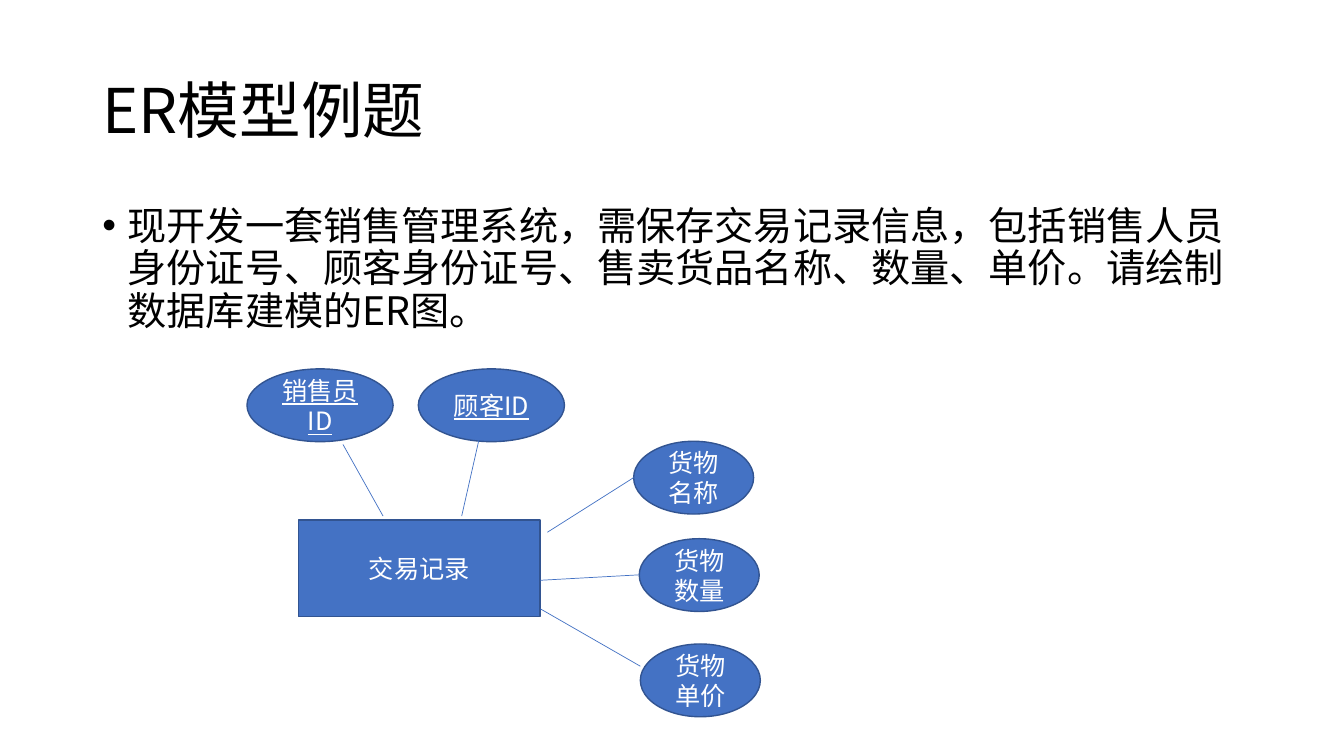
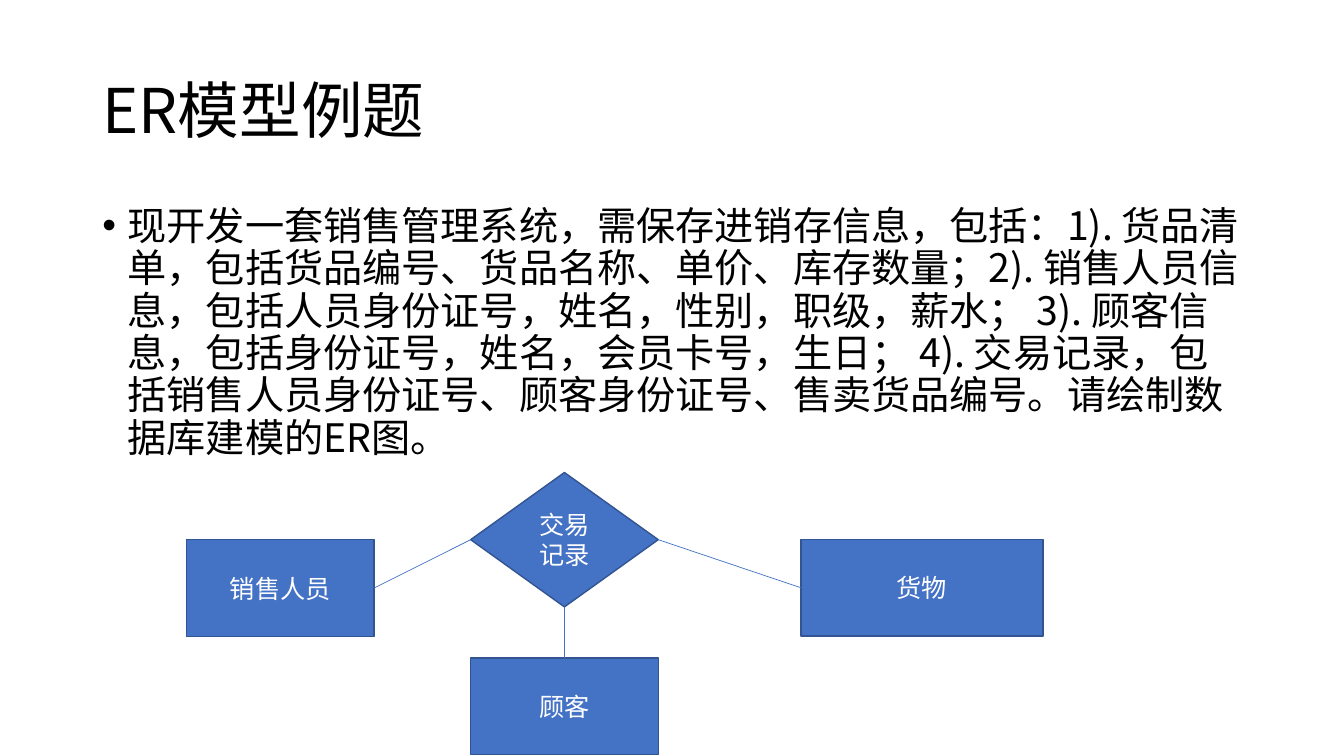
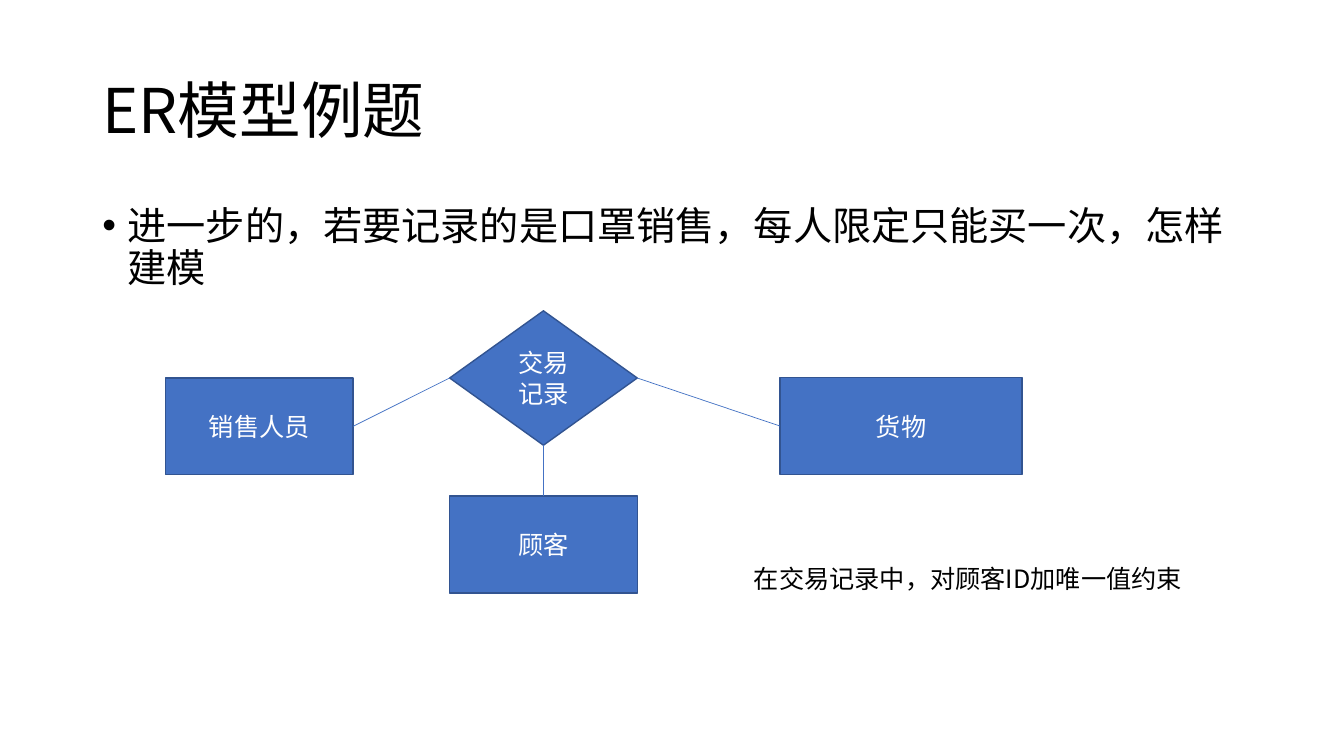
from lxml.etree import SubElement
from pptx import Presentation
from pptx.dml.color import RGBColor
from pptx.enum.shapes import MSO_CONNECTOR, MSO_SHAPE
from pptx.enum.text import MSO_ANCHOR, MSO_AUTO_SIZE, PP_ALIGN
from pptx.oxml.ns import qn
from pptx.util import Pt

FONT = "Noto Sans CJK SC"
COLORS = {"fill": "4472C4", "edge": "325491", "ink": "000000", "paper": "FFFFFF"}

TITLE = "ER模型例题"
TITLE_BOX = (66, 28.8, 828, 104.4)
BODY_BOX = (66, 144, 828, 342.7)
TITLE_FORMAT = {"alignment": PP_ALIGN.LEFT, "line_spacing": 0.9}
BODY_FORMAT = {**TITLE_FORMAT, "space_before": Pt(10)}

QUESTIONS = {
    "record": "现开发一套销售管理系统，需保存交易记录信息，包括销售人员身份证号、顾客身份证号、"
              "售卖货品名称、数量、单价。请绘制数据库建模的ER图。",
    "stock": "现开发一套销售管理系统，需保存进销存信息，包括：1). 货品清单，包括货品编号、货品名称、"
             "单价、库存数量；2). 销售人员信息，包括人员身份证号，姓名，性别，职级，薪水； "
             "3). 顾客信息，包括身份证号，姓名，会员卡号，生日； 4). 交易记录，"
             "包括销售人员身份证号、顾客身份证号、售卖货品编号。请绘制数据库建模的ER图。",
    "masks": "进一步的，若要记录的是口罩销售，每人限定只能买一次，怎样建模",
}
NOTE = "在交易记录中，对顾客ID加唯一值约束"
NOTE_BOX = (531.4, 398.9, 380.9, 28.8)

RECORD = ("交易记录", (213.1, 371.5, 172.8, 69.1))
KEY_SIZE, FIELD_SIZE = (104.4, 52), (85.7, 52)
# text, left and top, size, is key, line from the record, line to the attribute
ATTRIBUTES = [
    ("销售员ID", (176.4, 263.5), KEY_SIZE, True, (273.6, 368.6), (245, 317.5)),
    ("顾客ID", (298.8, 263.5), KEY_SIZE, True, (329.8, 368.6), (342, 314.6)),
    ("货物名称", (452.6, 315.2), FIELD_SIZE, False, (391, 380.2), (452.6, 341.2)),
    ("货物数量", (456.6, 384.8), FIELD_SIZE, False, (386, 414.5), (456.6, 410.6)),
    ("货物单价", (457.4, 460), FIELD_SIZE, False, (386, 434.9), (457.4, 475.9)),
]

RELATION = ("交易记录", (134, 96))
# text, offset from the relation, size, side of the relation, side of the entity
ENTITIES = [
    ("货物", (236, 47.8), (172.8, 69.1), 3, 1),
    ("销售人员", (-203, 48), (134, 69.1), 1, 3),
    ("顾客", (0, 132.4), (134, 69.1), 2, 0),
]


def points(values):
    return [Pt(value) for value in values]


def color(key):
    return RGBColor.from_string(COLORS[key])


def assign(target, values):
    for name, value in values.items():
        setattr(target, name, value)


def write(frame, text, size, ink, anchor, paragraph_format, underline=None):
    assign(frame, {"word_wrap": True, "auto_size": MSO_AUTO_SIZE.NONE,
                   "vertical_anchor": anchor})
    paragraph = frame.paragraphs[0]
    assign(paragraph, paragraph_format)
    run = paragraph.add_run()
    run.text = text
    assign(run.font, {"size": Pt(size), "name": FONT, "underline": underline})
    run.font.color.rgb = color(ink)
    SubElement(run.font._element, qn("a:ea")).set("typeface", FONT)
    return paragraph


def place(placeholder, box):
    assign(placeholder, dict(zip(("left", "top", "width", "height"), points(box))))
    return placeholder.text_frame


def add_question(prs, question):
    slide = prs.slides.add_slide(prs.slide_layouts[1])
    write(place(slide.shapes.title, TITLE_BOX), TITLE, 44, "ink",
          MSO_ANCHOR.MIDDLE, TITLE_FORMAT)
    body = write(place(slide.placeholders[1], BODY_BOX), question, 28, "ink",
                 MSO_ANCHOR.TOP, BODY_FORMAT)
    properties = body._p.get_or_add_pPr()
    properties.set("marL", str(Pt(18)))
    properties.set("indent", str(Pt(-18)))
    return slide


def add_node(slide, outline, text, box, underline=None):
    node = slide.shapes.add_shape(outline, *points(box))
    node.shadow.inherit = False
    node.fill.solid()
    node.fill.fore_color.rgb = color("fill")
    node.line.color.rgb = color("edge")
    node.line.width = Pt(1)
    write(node.text_frame, text, 18, "paper", MSO_ANCHOR.MIDDLE,
          {"alignment": PP_ALIGN.CENTER}, underline)
    return node


def add_link(slide, start=(0, 0), end=(0, 0)):
    link = slide.shapes.add_connector(MSO_CONNECTOR.STRAIGHT, *points(start + end))
    link.line.color.rgb = color("fill")
    link.line.width = Pt(0.5)
    SubElement(link._element.spPr, qn("a:effectLst"))
    return link


def add_attribute_diagram(slide):
    """Draw one entity with its attributes; key attributes are underlined."""
    add_node(slide, MSO_SHAPE.RECTANGLE, *RECORD)
    for text, corner, size, is_key, start, end in ATTRIBUTES:
        add_node(slide, MSO_SHAPE.OVAL, text, corner + size, is_key or None)
        add_link(slide, start, end)


def add_relation_diagram(slide, left, top):
    """Draw the relation diamond at left, top, joined to its three entities."""
    text, size = RELATION
    relation = add_node(slide, MSO_SHAPE.DIAMOND, text, (left, top) + size)
    for text, (dx, dy), size, relation_side, entity_side in ENTITIES:
        entity = add_node(slide, MSO_SHAPE.RECTANGLE, text, (left + dx, top + dy) + size)
        link = add_link(slide)
        link.begin_connect(relation, relation_side)
        link.end_connect(entity, entity_side)


def main():
    prs = Presentation()
    prs.slide_width, prs.slide_height = Pt(960), Pt(540)

    add_attribute_diagram(add_question(prs, QUESTIONS["record"]))
    add_relation_diagram(add_question(prs, QUESTIONS["stock"]), 336.2, 337.5)

    masks = add_question(prs, QUESTIONS["masks"])
    add_relation_diagram(masks, 321.2, 222)
    note = masks.shapes.add_textbox(*points(NOTE_BOX))
    write(note.text_frame, NOTE, 18, "ink", MSO_ANCHOR.TOP, {"alignment": PP_ALIGN.LEFT})

    prs.save("out.pptx")


if __name__ == "__main__":
    main()
